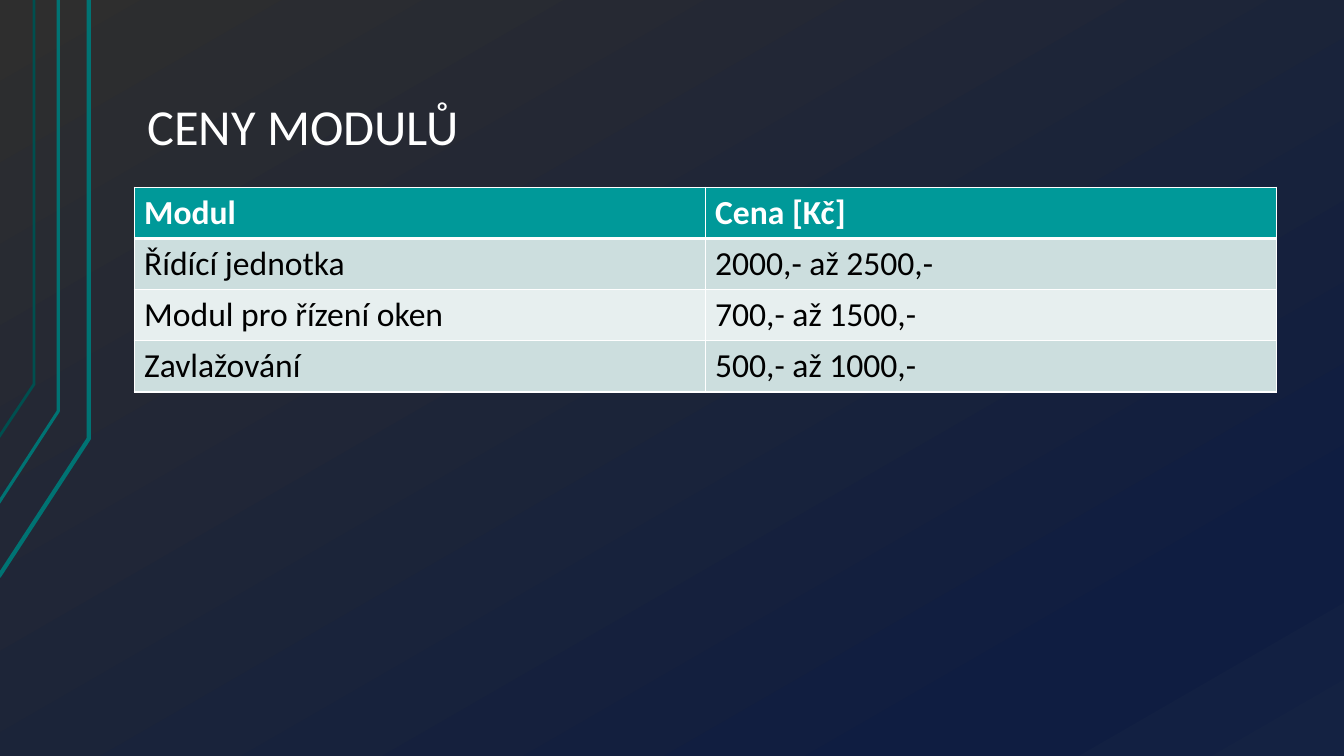
from copy import deepcopy
from dataclasses import dataclass

from lxml import etree
from pptx import Presentation
from pptx.dml.color import RGBColor
from pptx.enum.text import MSO_ANCHOR
from pptx.oxml.ns import qn
from pptx.util import Cm, Pt

BOTTOM = MSO_ANCHOR.BOTTOM
FONT = "Calibri"
WHITE = RGBColor(0xFF, 0xFF, 0xFF)
BLACK = RGBColor(0x00, 0x00, 0x00)
TEAL = RGBColor(0x00, 0x99, 0x99)
LINE_TEAL = RGBColor(0x00, 0x73, 0x73)
DIM_TEAL = RGBColor(0x00, 0x4F, 0x4F)
BAND_DARK = RGBColor(0xCC, 0xDE, 0xDE)
BAND_LIGHT = RGBColor(0xE7, 0xEF, 0xEF)
BACKDROP = [
    (0, RGBColor(0x2E, 0x2E, 0x2E)),
    (0.85, RGBColor(0x0F, 0x1D, 0x41)),
    (1, RGBColor(0x14, 0x22, 0x42)),
]

LEFT = Cm(3.38)
COLUMN_WIDTH = Cm(14.39)
ROW_HEIGHT = Cm(1.29)
PRICES = [
    ("Modul", "Cena [Kč]"),
    ("Řídící jednotka", "2000,- až 2500,-"),
    ("Modul pro řízení oken", "700,- až 1500,-"),
    ("Zavlažování", "500,- až 1000,-"),
]


@dataclass
class BentLine:
    x: float
    bend_y: float
    edge_y: float
    weight: float
    color: RGBColor


BENT_LINES = [
    BentLine(2.24, 11.05, 14.53, 3, LINE_TEAL),
    BentLine(1.47, 10.36, 12.67, 2.25, LINE_TEAL),
    BentLine(0.86, 9.68, 11.02, 2, DIM_TEAL),
]


def paint_backdrop(slide) -> None:
    fill = slide.background.fill
    fill.gradient()
    fill.gradient_angle = 300
    stop_list = slide.element.find(".//" + qn("a:gsLst"))
    stop_list.append(deepcopy(stop_list[-1]))
    for stop, (position, color) in zip(fill.gradient_stops, BACKDROP):
        stop.position = position
        stop.color.rgb = color


def draw_bent_line(slide, bent: BentLine) -> None:
    builder = slide.shapes.build_freeform(Cm(-0.03), Cm(bent.edge_y))
    builder.add_line_segments(
        [(Cm(bent.x), Cm(bent.bend_y)), (Cm(bent.x), 0)], close=False
    )
    outline = builder.convert_to_shape()
    outline.shadow.inherit = False
    outline.fill.background()
    outline.line.color.rgb = bent.color
    outline.line.width = Pt(bent.weight)


def style_text(paragraph, size: int, color: RGBColor, bold: bool = False) -> None:
    for run in paragraph.runs:
        run.font.name = FONT
        run.font.size = Pt(size)
        run.font.bold = bold
        run.font.color.rgb = color


def add_borders(cell, top: int, bottom: int) -> None:
    properties = cell._tc.get_or_add_tcPr()
    weights = {"a:lnL": 1, "a:lnR": 1, "a:lnT": top, "a:lnB": bottom}
    for index, (tag, weight) in enumerate(weights.items()):
        border = etree.Element(qn(tag), w=str(Pt(weight)))
        solid = etree.SubElement(border, qn("a:solidFill"))
        etree.SubElement(solid, qn("a:srgbClr"), val=str(WHITE))
        properties.insert(index, border)


def add_title(slide) -> None:
    title = slide.shapes.add_textbox(LEFT, Cm(0.71), 2 * COLUMN_WIDTH, Cm(3.4))
    frame = title.text_frame
    frame.word_wrap = True
    frame.vertical_anchor = BOTTOM
    frame.margin_left = frame.margin_right = Cm(0.33)
    frame.margin_top = frame.margin_bottom = Cm(0.18)
    frame.text = "CENY MODULŮ"
    frame.paragraphs[0].line_spacing = 0.9
    style_text(frame.paragraphs[0], 36, WHITE)


def add_price_table(slide) -> None:
    table = slide.shapes.add_table(
        len(PRICES), 2, LEFT, Cm(4.72), 2 * COLUMN_WIDTH, len(PRICES) * ROW_HEIGHT
    ).table
    for column in table.columns:
        column.width = COLUMN_WIDTH
    for row, texts in enumerate(PRICES):
        header = row == 0
        band = BAND_DARK if row % 2 else BAND_LIGHT
        for column, text in enumerate(texts):
            cell = table.cell(row, column)
            cell.text_frame.text = text
            style_text(
                cell.text_frame.paragraphs[0], 24, WHITE if header else BLACK, header
            )
            cell.fill.solid()
            cell.fill.fore_color.rgb = TEAL if header else band
            add_borders(cell, 3 if row == 1 else 1, 3 if header else 1)


presentation = Presentation()
presentation.slide_width = Cm(33.87)
presentation.slide_height = Cm(19.05)
slide = presentation.slides.add_slide(presentation.slide_layouts[6])
paint_backdrop(slide)
for bent_line in BENT_LINES:
    draw_bent_line(slide, bent_line)
add_title(slide)
add_price_table(slide)
presentation.save("out.pptx")
